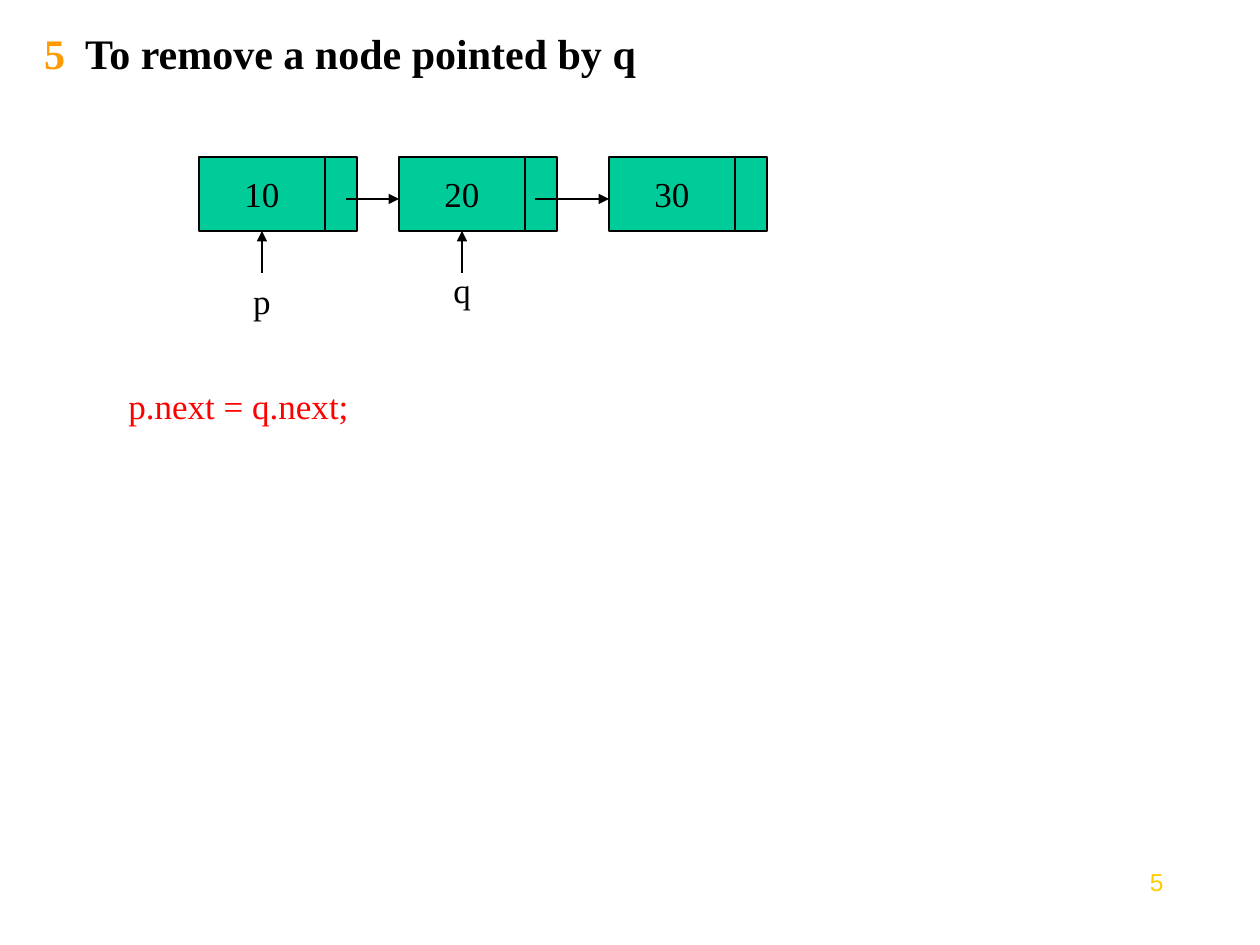
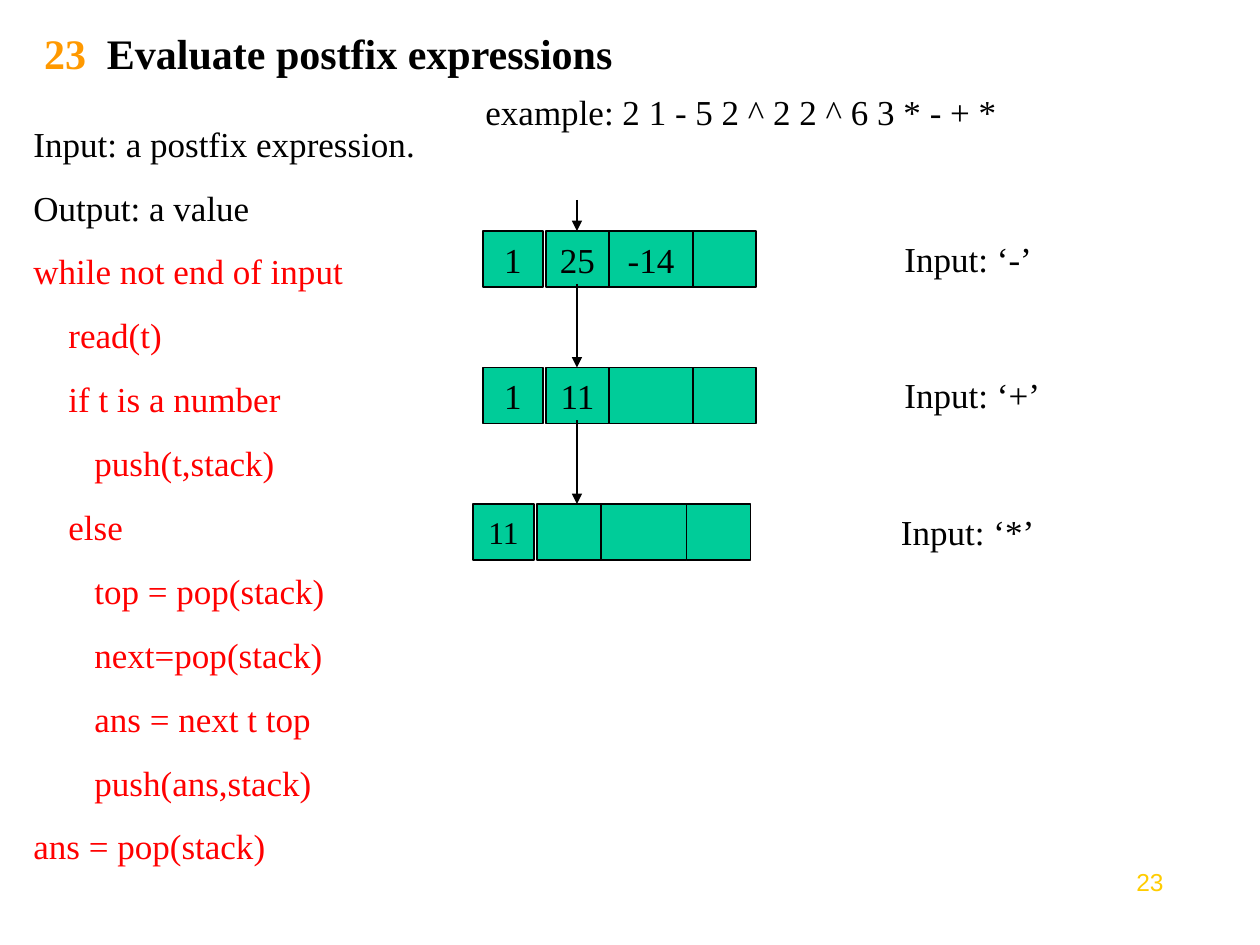
from lxml import etree
from pptx import Presentation
from pptx import util as u
from pptx.dml.color import RGBColor
from pptx.enum import shapes as kinds, text
from pptx.oxml import ns

PX_PER_INCH = 126
SERIF, SANS = "Times New Roman", "Arial"
BLACK = RGBColor(0x00, 0x00, 0x00)
RED = RGBColor(0xFF, 0x00, 0x00)
ORANGE = RGBColor(0xFF, 0x99, 0x00)
GOLD = RGBColor(0xFF, 0xCC, 0x00)
GREEN = RGBColor(0x00, 0xCC, 0x99)
LEFT, CENTER, RIGHT = (text.PP_ALIGN.LEFT, text.PP_ALIGN.CENTER,
                       text.PP_ALIGN.RIGHT)
LINE_WIDTH = u.Pt(0.75)

NODE_LEFTS = {"10": 199, "20": 399, "30": 609}
NODE_TOP, NODE_HEIGHT = 157, 74
VALUE_WIDTH, LINK_WIDTH = 126, 32

STACK_CELLS = [(0, 60), (63, 63), (126, 84), (210, 63)]
STACK_WIDTH, CELL_HEIGHT = 620, 56
STACK_TOP, STACK_PITCH = 231, 136.5
TOP_OF_STACK_X = 577

# indent in px, colour, wording
ALGORITHM = [
    (0, BLACK, "Input: a postfix expression."),
    (0, BLACK, "Output: a value"),
    (0, RED, "while not end of input"),
    (35, RED, "read(t)"),
    (35, RED, "if t is a number"),
    (61, RED, "push(t,stack)"),
    (35, RED, "else"),
    (61, RED, "top = pop(stack)"),
    (61, RED, "next=pop(stack)"),
    (61, RED, "ans = next t top"),
    (61, RED, "push(ans,stack)"),
    (0, RED, "ans = pop(stack)"),
]


def px(length):
    return u.Emu(round(length * u.Inches(1) / PX_PER_INCH))


def box(*lengths):
    return [px(length) for length in lengths]


def style(run, color, size=20, font=SERIF, bold=False):
    run.font.name, run.font.size, run.font.bold = font, u.Pt(size), bold
    run.font.color.rgb = color


def add_lines(shapes, area, lines, align=LEFT, size=20, font=SERIF):
    """Write one paragraph for each (indent, colour, wording)."""
    frame = shapes.add_textbox(*box(*area)).text_frame
    frame.word_wrap = True
    frame.text = "\n".join(wording for _, _, wording in lines)
    for paragraph, (indent, color, _) in zip(frame.paragraphs, lines):
        paragraph.alignment = align
        paragraph.space_before = u.Pt(12.5)
        if indent:
            paragraph._p.get_or_add_pPr().set("marL", str(px(indent)))
        style(paragraph.runs[0], color, size, font)


def add_cell(shapes, area, value="", size=20):
    cell = shapes.add_shape(kinds.MSO_SHAPE.RECTANGLE, *box(*area))
    cell.shadow.inherit = False
    cell.fill.solid()
    cell.fill.fore_color.rgb = GREEN
    cell.line.color.rgb = BLACK
    cell.line.width = LINE_WIDTH
    if value:
        frame = cell.text_frame
        frame.word_wrap = False
        frame.vertical_anchor = text.MSO_ANCHOR.MIDDLE
        frame.text = value
        frame.paragraphs[0].alignment = CENTER
        style(frame.paragraphs[0].runs[0], BLACK, size)


def add_arrow(shapes, *ends):
    arrow = shapes.add_connector(kinds.MSO_CONNECTOR.STRAIGHT, *box(*ends))
    arrow.line.color.rgb = BLACK
    arrow.line.width = LINE_WIDTH
    etree.SubElement(arrow.line._get_or_add_ln(), ns.qn("a:tailEnd"),
                     type="triangle")
    etree.SubElement(arrow._element.spPr, ns.qn("a:effectLst"))


def add_titled_slide(deck, number, heading):
    slide = deck.slides.add_slide(deck.slide_layouts[5])
    title = slide.shapes.title
    title.left, title.top, title.width, title.height = box(21, 21, 1071, 63)
    frame = title.text_frame
    frame.vertical_anchor = text.MSO_ANCHOR.MIDDLE
    frame.margin_left = px(23)
    paragraph = frame.paragraphs[0]
    paragraph.alignment = LEFT
    for wording, color in ((f"{number} ", ORANGE), (f" {heading}", BLACK)):
        run = paragraph.add_run()
        run.text = wording
        style(run, color, 24, bold=True)
    add_lines(slide.shapes, (1092, 861, 84, 66), [(0, GOLD, str(number))],
              RIGHT, 14, SANS)
    return slide


def add_node(shapes, left, value):
    add_cell(shapes, (left, NODE_TOP, VALUE_WIDTH, NODE_HEIGHT), value)
    add_cell(shapes, (left + VALUE_WIDTH, NODE_TOP, LINK_WIDTH, NODE_HEIGHT))


def add_pointer(shapes, left, name, name_top):
    """Point from a name below at the middle of a node's value."""
    middle = left + VALUE_WIDTH / 2
    bottom = NODE_TOP + NODE_HEIGHT
    add_lines(shapes, (middle - 42, name_top, 84, 56), [(0, BLACK, name)],
              CENTER)
    add_arrow(shapes, middle, bottom + 42, middle, bottom)


def add_stack_row(shapes, left, top, width, values, operator, size=20):
    """Draw a stack's cells and the input read, scaled to the width."""
    scale = width / STACK_WIDTH
    for index, (offset, cell_width) in enumerate(STACK_CELLS):
        value = values[index] if index < len(values) else ""
        add_cell(shapes, (left + offset * scale, top, cell_width * scale,
                          CELL_HEIGHT), value, size)
    add_lines(shapes, (left + 409 * scale, top, 210 * scale, CELL_HEIGHT),
              [(0, BLACK, f"Input: ‘{operator}’")])


def build_removal(deck):
    slide = add_titled_slide(deck, 5, "To remove a node pointed by q")
    shapes = slide.shapes
    for value, left in NODE_LEFTS.items():
        add_node(shapes, left, value)
    add_pointer(shapes, NODE_LEFTS["10"], "p", 273)
    add_pointer(shapes, NODE_LEFTS["20"], "q", 262)
    for start, value in ((346, "20"), (535, "30")):
        add_arrow(shapes, start, 199, NODE_LEFTS[value], 199)
    add_lines(shapes, (116, 378, 809, 56), [(0, RED, "p.next = q.next;")])


def build_evaluation(deck):
    slide = add_titled_slide(deck, 23, "Evaluate postfix expressions")
    shapes = slide.shapes
    add_lines(shapes, (21, 116, 410, 757), ALGORITHM)
    add_lines(shapes, (473, 84, 724, 56),
              [(0, BLACK, "example: 2 1 - 5 2 ^ 2 2 ^ 6 3 * - + *")])
    stacks = [(483, 620, ["1", "25", "-14"], "-", 20),
              (483, 620, ["1", "11"], "+", 20),
              (473, 630, ["11"], "*", 18)]
    for index, (left, width, values, operator, size) in enumerate(stacks):
        top = STACK_TOP + index * STACK_PITCH
        row = shapes.add_group_shape().shapes
        add_stack_row(row, left, top, width, values, operator, size)
    for index in range(len(stacks)):
        top = STACK_TOP + index * STACK_PITCH
        start = top - STACK_PITCH + CELL_HEIGHT - 3 if index else top - 31
        add_arrow(shapes, TOP_OF_STACK_X, start, TOP_OF_STACK_X, top)


def main():
    deck = Presentation()
    deck.slide_width, deck.slide_height = u.Inches(10), u.Inches(7.5)
    build_removal(deck)
    build_evaluation(deck)
    deck.save("out.pptx")


if __name__ == "__main__":
    main()
